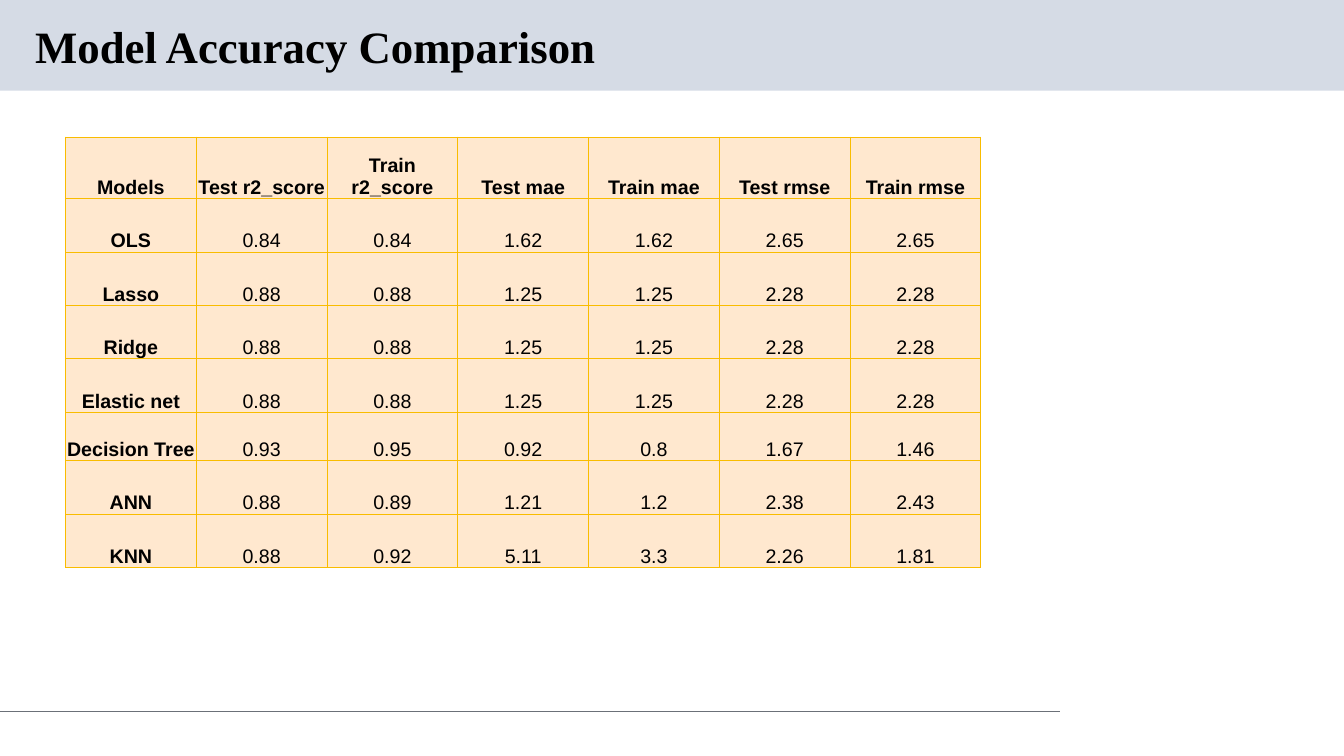
from dataclasses import dataclass

from lxml import etree
from pptx import Presentation
from pptx.dml.color import RGBColor
from pptx.enum import shapes, text
from pptx.oxml import ns
from pptx.util import Inches, Pt


@dataclass(frozen=True)
class Theme:
    band: str = "D5DBE5"
    rule: str = "6B7078"
    ink: str = "000000"
    cell: str = "FFE8CF"
    border: str = "F9BC00"
    line_pt: float = 0.75
    title_pt: int = 32
    cell_pt: int = 14
    title_font: str = "Times New Roman"
    cell_font: str = "Arial"


THEME = Theme()

HEADER = ["Models", "Test r2_score", "Train r2_score", "Test mae",
          "Train mae", "Test rmse", "Train rmse"]
SCORES = [
    ["OLS", "0.84", "0.84", "1.62", "1.62", "2.65", "2.65"],
    ["Lasso", "0.88", "0.88", "1.25", "1.25", "2.28", "2.28"],
    ["Ridge", "0.88", "0.88", "1.25", "1.25", "2.28", "2.28"],
    ["Elastic net", "0.88", "0.88", "1.25", "1.25", "2.28", "2.28"],
    ["Decision Tree", "0.93", "0.95", "0.92", "0.8", "1.67", "1.46"],
    ["ANN", "0.88", "0.89", "1.21", "1.2", "2.38", "2.43"],
    ["KNN", "0.88", "0.92", "5.11", "3.3", "2.26", "1.81"],
]
ROW_HEIGHTS = [0.61, 0.53, 0.53, 0.53, 0.53, 0.48, 0.53, 0.53]


def rgb(color):
    return RGBColor.from_string(color)


def write(tf, words, *, size, font, bold=False, align=None, spacing=None):
    p = tf.paragraphs[0]
    p.alignment = align
    p.line_spacing = spacing
    r = p.add_run()
    r.text = words
    r.font.size = Pt(size)
    r.font.name = font
    r.font.bold = bold
    r.font.color.rgb = rgb(THEME.ink)


def add_band(s, x, y, w, h):
    sp = s.shapes.add_shape(shapes.MSO_SHAPE.RECTANGLE,
                            Inches(x), Inches(y), Inches(w), Inches(h))
    sp.shadow.inherit = False
    sp.fill.solid()
    sp.fill.fore_color.rgb = rgb(THEME.band)
    sp.line.fill.background()


def add_rule(s, x1, x2, y):
    line = s.shapes.add_connector(shapes.MSO_CONNECTOR.STRAIGHT,
                                  Inches(x1), Inches(y), Inches(x2), Inches(y))
    line.line.color.rgb = rgb(THEME.rule)
    line.line.width = Pt(THEME.line_pt)
    etree.SubElement(line._element.spPr, ns.qn("a:effectLst"))


def add_title(s, words, x, y, w, h):
    tf = s.shapes.add_textbox(Inches(x), Inches(y), Inches(w), Inches(h)).text_frame
    tf.word_wrap = True
    tf.vertical_anchor = text.MSO_ANCHOR.MIDDLE
    write(tf, words, size=THEME.title_pt, font=THEME.title_font, bold=True, spacing=0.9)


def set_borders(cell):
    """Outline all four sides; border elements must precede the cell's fill."""
    props = cell._tc.get_or_add_tcPr()
    for i, side in enumerate(("lnL", "lnR", "lnT", "lnB")):
        ln = etree.Element(ns.qn(f"a:{side}"), w=str(Pt(THEME.line_pt)))
        fill = etree.SubElement(ln, ns.qn("a:solidFill"))
        etree.SubElement(fill, ns.qn("a:srgbClr"), val=THEME.border)
        props.insert(i, ln)


def style_cell(cell):
    cell.margin_left = cell.margin_right = cell.margin_top = Inches(0.01)
    cell.margin_bottom = 0
    cell.vertical_anchor = text.MSO_ANCHOR.BOTTOM
    cell.fill.solid()
    cell.fill.fore_color.rgb = rgb(THEME.cell)
    set_borders(cell)


def add_score_table(s, rows, heights, x, y, w):
    """Table with equal columns and a bold first row and first column."""
    columns = len(rows[0])
    table = s.shapes.add_table(len(rows), columns, Inches(x), Inches(y),
                               Inches(w), Inches(sum(heights))).table
    for column in table.columns:
        column.width = Inches(w / columns)
    for i, (values, height) in enumerate(zip(rows, heights)):
        table.rows[i].height = Inches(height)
        for j, value in enumerate(values):
            cell = table.cell(i, j)
            style_cell(cell)
            write(cell.text_frame, value, size=THEME.cell_pt, font=THEME.cell_font,
                  bold=i == 0 or j == 0, align=text.PP_ALIGN.CENTER)


def main():
    prs = Presentation()
    prs.slide_width, prs.slide_height = Inches(13.33), Inches(7.5)
    s = prs.slides.add_slide(prs.slide_layouts[6])
    add_band(s, 0, 0, 13.33, 0.9)
    add_rule(s, 0, 10.51, 7.06)
    add_title(s, "Model Accuracy Comparison", 0.25, 0.19, 11.5, 0.59)
    add_score_table(s, [HEADER, *SCORES], ROW_HEIGHTS, 0.65, 1.36, 9.08)
    prs.save("out.pptx")


if __name__ == "__main__":
    main()
